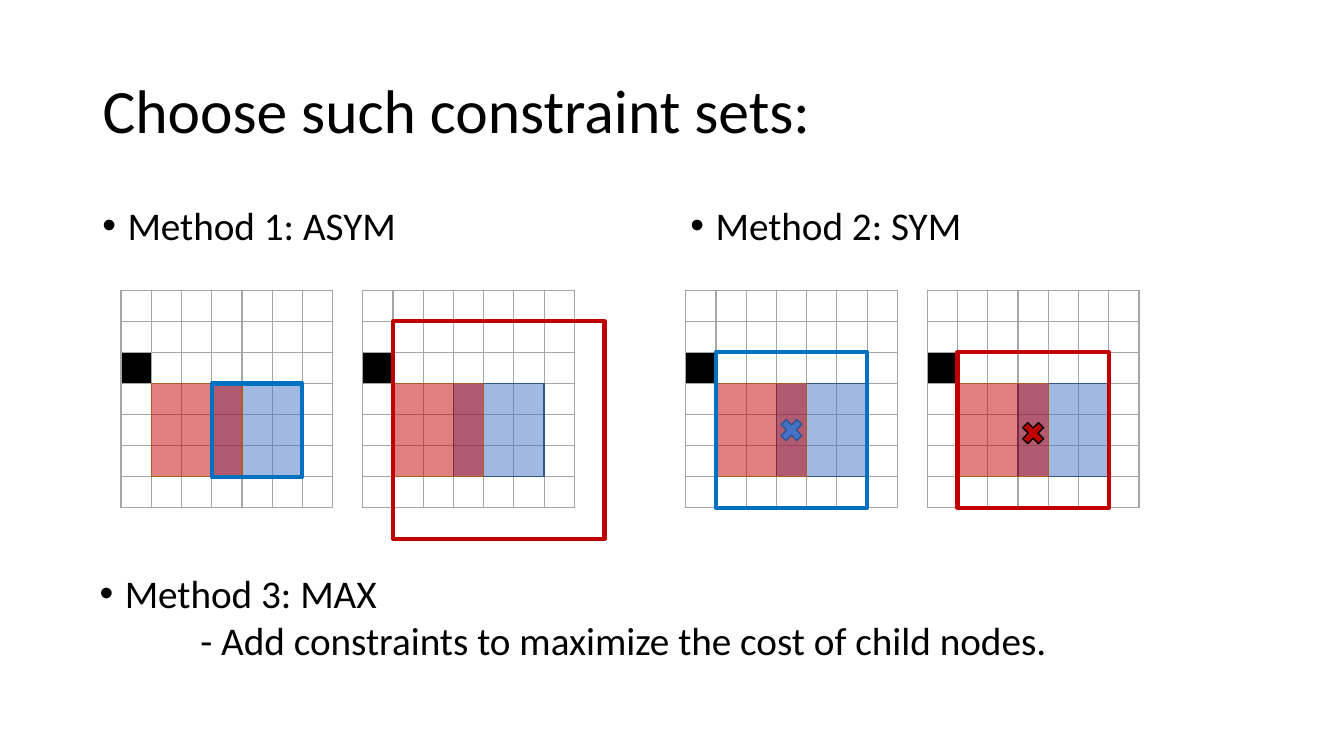
from lxml import etree
from pptx import Presentation
from pptx.dml.color import RGBColor
from pptx.enum import shapes, text
from pptx.oxml import ns
from pptx.util import Cm, Pt

COLORS = {
    "ink": "000000", "grid": "A6A6A6", "red": "C00000", "red_edge": "AF5C24",
    "blue": "4472C4", "blue_edge": "325491", "bright_blue": "0070C0",
}
FONT = "Calibri"
CELLS = 7
CELL_WIDTH, CELL_HEIGHT = 0.762, 0.784
GRID_STEP = 6.09
RECTANGLE = shapes.MSO_SHAPE.RECTANGLE
CROSS = shapes.MSO_SHAPE.MATH_MULTIPLY


def color(name):
    """Return the named colour."""
    return RGBColor.from_string(COLORS[name])


def add_child(parent, tag, **attributes):
    """Append a DrawingML element with the given attributes."""
    return etree.SubElement(parent, ns.qn(tag), attributes)


def format_line(paragraph, size, spacing=1.0):
    """Set the spacing and the run fonts of a paragraph."""
    paragraph.line_spacing = spacing
    paragraph.space_before = Pt(0)
    for run in paragraph.runs:
        run.font.name = FONT
        run.font.size = Pt(size)
        run.font.color.rgb = color("ink")


def add_title(slide, left, top, width, height, wording):
    """Place and format the title placeholder."""
    title = slide.shapes.title
    title.left, title.top, title.width, title.height = map(Cm, (left, top, width, height))
    frame = title.text_frame
    frame.text = wording
    frame.word_wrap = True
    frame.vertical_anchor = text.MSO_ANCHOR.MIDDLE
    frame.paragraphs[0].alignment = text.PP_ALIGN.LEFT
    format_line(frame.paragraphs[0], 44, 0.9)


def add_method_text(slide, left, top, width, height, heading, detail=None, spacing=1.0):
    """Write a bulleted method heading and an optional indented detail."""
    frame = slide.shapes.add_textbox(*map(Cm, (left, top, width, height))).text_frame
    frame.word_wrap = True
    frame.text = heading
    bullet = frame.paragraphs[0]._p.get_or_add_pPr()
    bullet.set("marL", str(Cm(0.635)))
    bullet.set("indent", str(-Cm(0.635)))
    add_child(bullet, "a:buFont", typeface="Arial")
    add_child(bullet, "a:buChar", char="•")
    if detail:
        explanation = frame.add_paragraph()
        explanation.text = detail
        explanation._p.get_or_add_pPr().set("marL", str(Cm(2.54)))
    for paragraph in frame.paragraphs:
        format_line(paragraph, 28, spacing)


def add_grid(slide, left, top):
    """Draw the square map with its one blocked cell."""
    size = Cm(CELLS * CELL_WIDTH), Cm(CELLS * CELL_HEIGHT)
    grid = slide.shapes.add_table(CELLS, CELLS, Cm(left), Cm(top), *size).table
    grid.first_row = grid.horz_banding = False
    for column in grid.columns:
        column.width = Cm(CELL_WIDTH)
    for row in grid.rows:
        row.height = Cm(CELL_HEIGHT)
    for cell in grid.iter_cells():
        cell.margin_left = cell.margin_right = cell.margin_top = cell.margin_bottom = 0
        cell.text_frame.paragraphs[0]._p.get_or_add_endParaRPr().set("sz", "800")
        properties = cell._tc.get_or_add_tcPr()
        for side in ("a:lnL", "a:lnR", "a:lnT", "a:lnB"):
            border = add_child(properties, side, w=str(Pt(1)))
            add_child(add_child(border, "a:solidFill"), "a:srgbClr", val=COLORS["grid"])
        cell.fill.background()
    blocked = grid.cell(2, 0)
    blocked.fill.solid()
    blocked.fill.fore_color.rgb = color("ink")


def add_mark(slide, origin, place, edge, weight=1, fill=None, opacity=None, kind=RECTANGLE):
    """Draw a shape at a (column, row, columns, rows) place of a grid."""
    column, row, columns, rows = place
    mark = slide.shapes.add_shape(
        kind,
        Cm(origin[0] + column * CELL_WIDTH), Cm(origin[1] + row * CELL_HEIGHT),
        Cm(columns * CELL_WIDTH), Cm(rows * CELL_HEIGHT))
    mark.shadow.inherit = False
    mark.line.color.rgb = color(edge)
    mark.line.width = Pt(weight)
    if fill is None:
        mark.fill.background()
        return
    mark.fill.solid()
    mark.fill.fore_color.rgb = color(fill)
    if opacity:
        tint = mark._element.spPr.find(ns.qn("a:solidFill"))[0]
        add_child(tint, "a:alpha", val=str(opacity * 1000))


def add_map(slide, left, top, constraint, outline, cross=None):
    """Draw a grid with both agents' areas and one constraint outline."""
    origin = left, top
    add_grid(slide, left, top)
    add_mark(slide, origin, (3, 3, 3, 3), "blue_edge", fill="blue", opacity=50)
    add_mark(slide, origin, (1, 3, 3, 3), "red_edge", fill="red", opacity=50)
    add_mark(slide, origin, constraint, outline, weight=3)
    if cross:
        row, fill, edge = cross
        add_mark(slide, origin, (3, row, 1, 1), edge, fill=fill, kind=CROSS)


def add_method(slide, left, top, heading, map_offset, maps):
    """Place a method heading above its pair of maps."""
    add_method_text(slide, left, top, 14.4, 12.09, heading, spacing=0.9)
    for index, details in enumerate(maps):
        add_map(slide, left + map_offset + index * GRID_STEP, top + 2.24, *details)


def main():
    """Build the slide and save it."""
    deck = Presentation()
    deck.slide_width, deck.slide_height = Cm(33.87), Cm(19.05)
    slide = deck.slides.add_slide(deck.slide_layouts[5])
    add_title(slide, 2.33, 1.01, 29.21, 3.68, "Choose such constraint sets:")
    add_method(slide, 2.33, 5.07, "Method 1: ASYM", 0.72, [
        ((3, 3, 3, 3), "bright_blue"),
        ((1, 1, 7, 7), "red"),
    ])
    add_method(slide, 17.15, 5.07, "Method 2: SYM", 0.13, [
        ((1, 2, 5, 5), "bright_blue", (4, "blue", "blue_edge")),
        ((1, 2, 5, 5), "red", (4.1, "red", "ink")),
    ])
    add_method_text(slide, 2.26, 14.22, 24.66, 2.65, "Method 3: MAX",
                    "- Add constraints to maximize the cost of child nodes.")
    deck.save("out.pptx")


if __name__ == "__main__":
    main()
